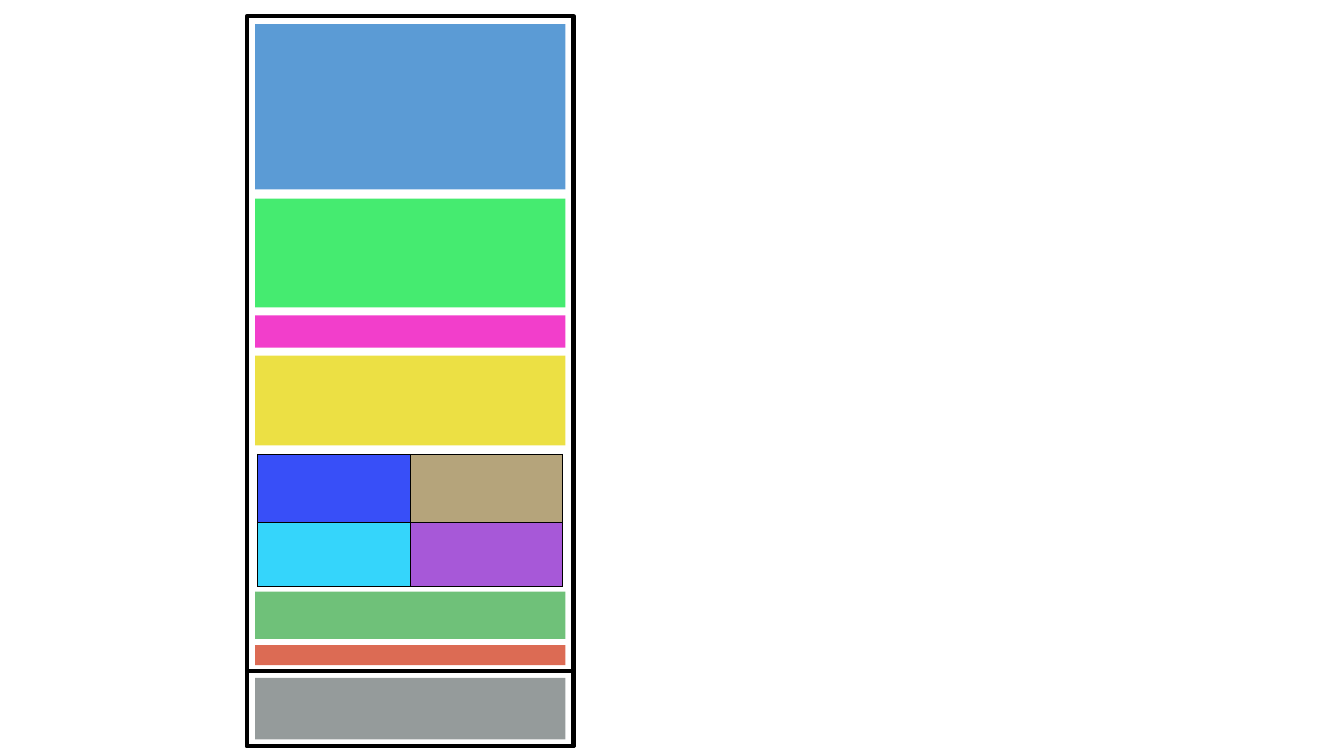
from lxml import etree
from pptx import Presentation
from pptx.dml.color import RGBColor
from pptx.enum.shapes import MSO_SHAPE
from pptx.oxml.ns import qn
from pptx.util import Pt

RECTANGLE = MSO_SHAPE.RECTANGLE
COLOURS = {
    "white": "FFFFFF", "black": "000000", "blue": "5B9BD5", "green": "45EB70",
    "pink": "F23ECB", "yellow": "ECE044", "sage": "6FC179", "coral": "DC6B54",
    "grey": "959B9B", "royal": "384FF8", "tan": "B5A47B", "cyan": "35D5FB",
    "purple": "A758D8",
}
PAGE = (176.4, 11.5, 233.3, 521.3)
MARGIN = 5.8
BODY_BANDS = [
    ("blue", 5.8, 118.1), ("green", 130.3, 77.8), ("pink", 213.8, 23),
    ("yellow", 242.6, 64.1), ("sage", 411.1, 33.8), ("coral", 449.3, 14.4),
]
GRID_TOP = 313.2
GRID_ROWS = [(48.6, ("royal", "tan")), (45.7, ("cyan", "purple"))]
FOOTER_TOP = 468
FOOTER_BAND_HEIGHT = 43.9


def rgb(name):
    """Return the named colour."""
    return RGBColor.from_string(COLOURS[name])


def add_rectangle(slide, box, fill=None, line=None):
    """Add a plain rectangle with an optional fill and a 3 pt outline."""
    rectangle = slide.shapes.add_shape(RECTANGLE, *map(Pt, box))
    rectangle.shadow.inherit = False
    if fill:
        rectangle.fill.solid()
        rectangle.fill.fore_color.rgb = rgb(fill)
    else:
        rectangle.fill.background()
    if line:
        rectangle.line.color.rgb = rgb(line)
        rectangle.line.width = Pt(3)
    else:
        rectangle.line.fill.background()


def add_band(slide, box, colour, offset, height):
    """Add a coloured band inset from both sides of the box."""
    left, top, width, _ = box
    add_rectangle(slide, (left + MARGIN, top + offset, width - 2 * MARGIN, height), colour)


def style_cell(cell, colour):
    """Give a cell thin black borders and a solid fill."""
    properties = cell._tc.get_or_add_tcPr()
    for side in ("a:lnL", "a:lnR", "a:lnT", "a:lnB"):
        border = etree.SubElement(properties, qn(side), w=str(Pt(1)))
        solid = etree.SubElement(border, qn("a:solidFill"))
        etree.SubElement(solid, qn("a:srgbClr"), val=COLOURS["black"])
    cell.fill.solid()
    cell.fill.fore_color.rgb = rgb(colour)


def add_colour_grid(slide, box):
    """Add the two by two table of coloured cells."""
    left, top, width, height = box
    grid = slide.shapes.add_table(2, 2, Pt(left), Pt(top), Pt(width), Pt(height)).table
    for column in grid.columns:
        column.width = Pt(width / 2)
    for row, (row_height, colours) in zip(grid.rows, GRID_ROWS):
        row.height = Pt(row_height)
        for cell, colour in zip(row.cells, colours):
            style_cell(cell, colour)


def add_body(slide, box):
    """Add the page frame, its bands and the colour grid."""
    left, top, width, _ = box
    add_rectangle(slide, box, "white", "black")
    for colour, offset, height in BODY_BANDS:
        add_band(slide, box, colour, offset, height)
    grid_width = 218
    grid_height = sum(height for height, _ in GRID_ROWS)
    grid_left = left + (width - grid_width) / 2
    add_colour_grid(slide, (grid_left, top + GRID_TOP, grid_width, grid_height))


def add_footer(slide, box):
    """Add the outlined footer with its grey band."""
    add_rectangle(slide, box, line="black")
    offset = (box[3] - FOOTER_BAND_HEIGHT) / 2
    add_band(slide, box, "grey", offset, FOOTER_BAND_HEIGHT)


def main():
    """Build and save the page layout slide."""
    presentation = Presentation()
    presentation.slide_width, presentation.slide_height = Pt(960), Pt(540)
    slide = presentation.slides.add_slide(presentation.slide_layouts[6])
    add_body(slide, PAGE)
    left, top, width, height = PAGE
    add_footer(slide, (left, top + FOOTER_TOP, width, height - FOOTER_TOP))
    presentation.save("out.pptx")


if __name__ == "__main__":
    main()
